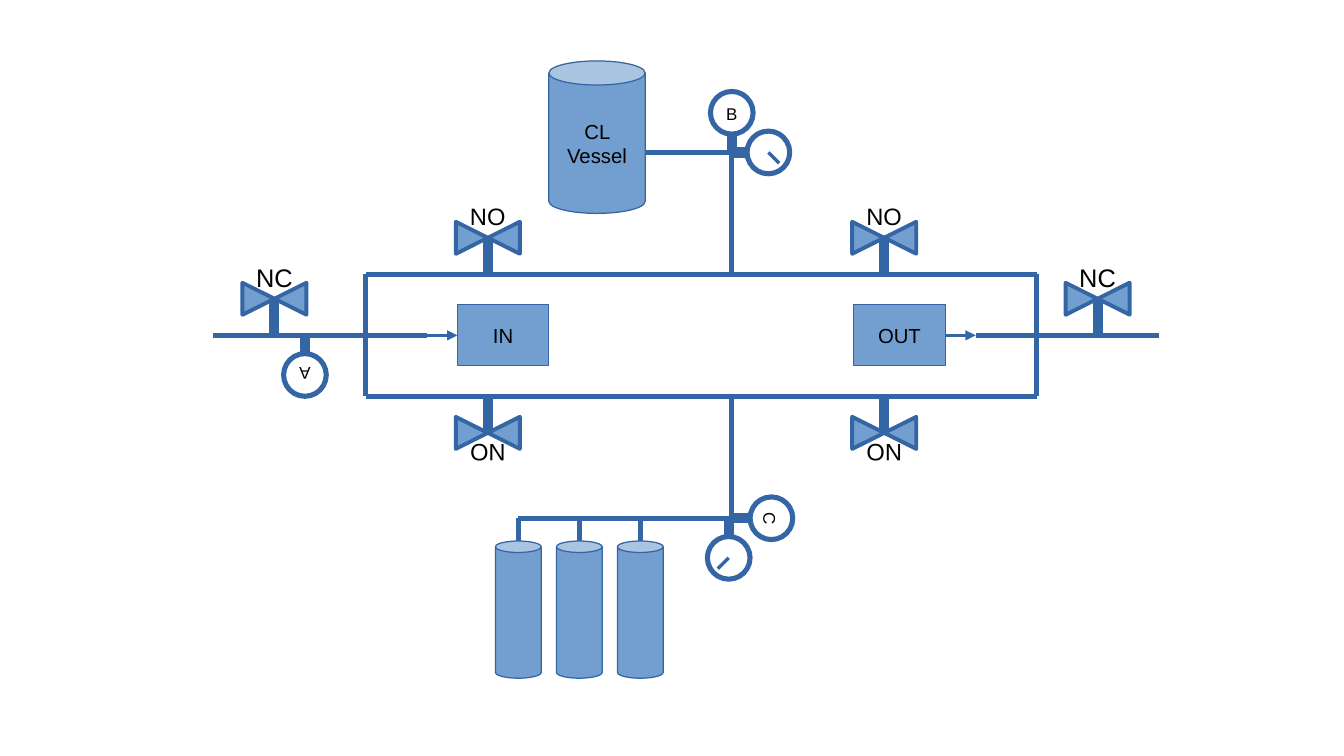
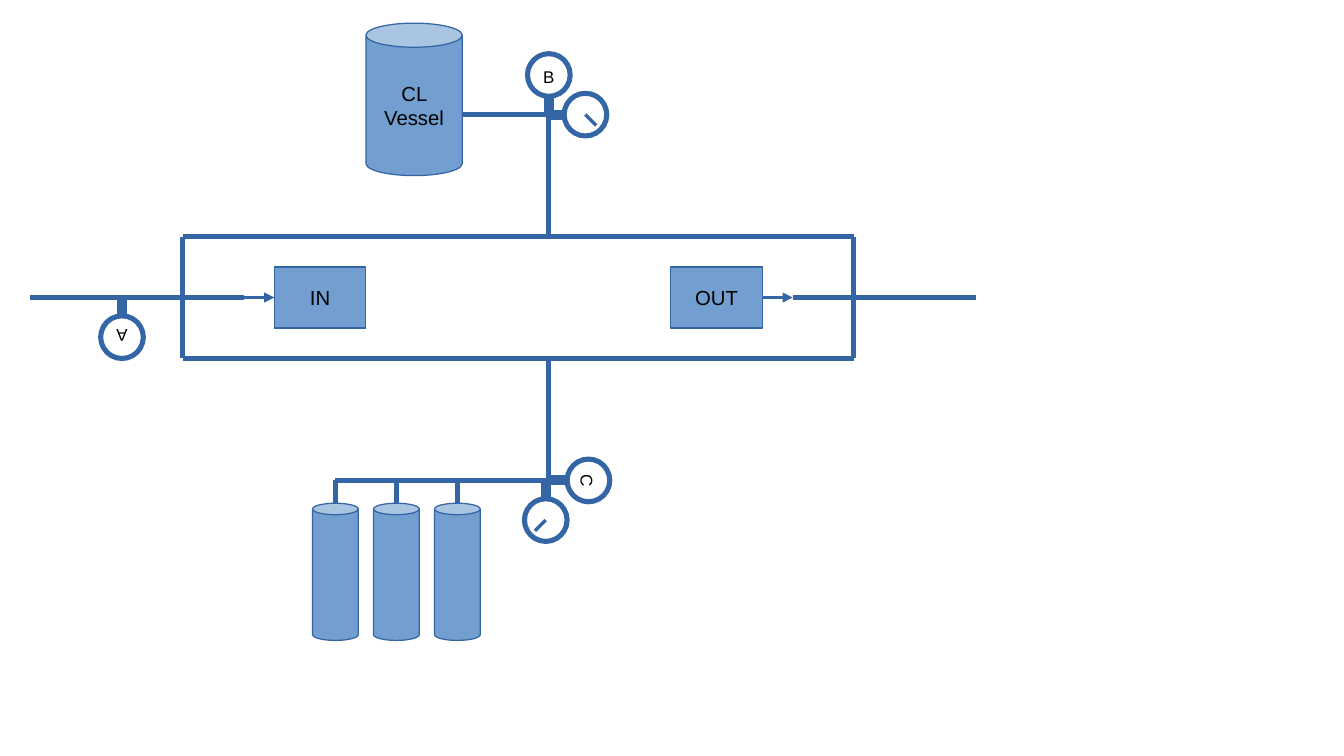
from math import cos, radians, sin

from lxml.etree import SubElement
from pptx import Presentation
from pptx.dml.color import RGBColor
from pptx.enum.shapes import MSO_CONNECTOR as Connector, MSO_SHAPE as Preset
from pptx.enum.text import MSO_ANCHOR as Anchor, PP_ALIGN as Align
from pptx.oxml.ns import qn
from pptx.util import Inches, Pt

CELL = 0.25
LINE, FILL, WHITE, BLACK = "3465A4", "729FCF", "FFFFFF", "000000"
FONT = "Arial"
HAIRLINE, VALVE_LINE, PIPE, STEM = 0, 2.3, 3, 6
UP, RIGHT, DOWN, LEFT = 0, 90, 180, 270

PIPES = [
    (7, 11, 12, 11), (12, 11, 14, 11), (12, 13, 12, 9),
    (38, 11, 34, 11), (34, 11, 32, 11), (34, 9, 34, 13),
    (12, 9, 34, 9), (12, 13, 34, 13),
    (24, 9, 24, 5), (21, 5, 24, 5),
    (24, 17, 24, 13), (17, 17, 24, 17),
]
TANK_COLUMNS = (17, 19, 21)
GAUGES = [
    (10, 11, DOWN, "A"), (24, 5, UP, "B"), (23.9, 5, RIGHT, None),
    (24, 17, RIGHT, "C"), (23.9, 17, DOWN, None),
]
VALVES = [
    (36, 11, UP, "NC", 15), (9, 11, UP, "NC", 15),
    (29, 9, UP, "NO", 14), (16, 9, UP, "NO", 14),
    (29, 13, DOWN, "NO", 14), (16, 13, DOWN, "NO", 14),
]


def color(value):
    return RGBColor.from_string(value)


def toward(column, row, heading, distance):
    angle = radians(heading)
    return column + distance * sin(angle), row - distance * cos(angle)


class Diagram:
    def __init__(self, presentation, column_shift=0, row_shift=0):
        self.slide = presentation.slides.add_slide(presentation.slide_layouts[6])
        self.shapes = self.slide.shapes
        self.column_shift = column_shift
        self.row_shift = row_shift

    def point(self, column, row):
        return (Inches((column + self.column_shift) * CELL),
                Inches((row + self.row_shift) * CELL))

    def frame(self, column, row, width, height):
        return (*self.point(column - width / 2, row - height / 2),
                Inches(width * CELL), Inches(height * CELL))

    def start_group(self):
        self.shapes = self.slide.shapes.add_group_shape().shapes

    def end_group(self):
        self.shapes = self.slide.shapes

    def line(self, start, end, width=PIPE, arrow=False):
        connector = self.shapes.add_connector(
            Connector.STRAIGHT, *self.point(*start), *self.point(*end))
        connector.line.color.rgb = color(LINE)
        connector.line.width = Pt(width)
        if arrow:
            outline = connector.line._get_or_add_ln()
            SubElement(outline, qn("a:tailEnd"), type="triangle")
        SubElement(connector._element.spPr, qn("a:effectLst"))
        return connector

    def solid(self, preset, column, row, width, height,
              fill=FILL, line_width=HAIRLINE, rotation=0):
        shape = self.shapes.add_shape(
            preset, *self.frame(column, row, width, height))
        shape.shadow.inherit = False
        shape.fill.solid()
        shape.fill.fore_color.rgb = color(fill)
        shape.line.color.rgb = color(LINE)
        shape.line.width = Pt(line_width)
        shape.rotation = rotation
        return shape

    def add_text(self, shape, text, size):
        text_frame = shape.text_frame
        text_frame.word_wrap = True
        text_frame.vertical_anchor = Anchor.MIDDLE
        paragraph = text_frame.paragraphs[0]
        paragraph.alignment = Align.CENTER
        run = paragraph.add_run()
        run.text = text
        run.font.name = FONT
        run.font.size = Pt(size)
        run.font.color.rgb = color(BLACK)

    def label(self, column, row, text, size, rotation):
        box = self.shapes.add_textbox(*self.frame(column, row, 2, 1))
        text_frame = box.text_frame
        text_frame.margin_left = text_frame.margin_right = 0
        text_frame.margin_top = text_frame.margin_bottom = 0
        box.rotation = rotation
        self.add_text(box, text, size)

    def station(self, column, row, text):
        box = self.solid(Preset.RECTANGLE, column, row, 3, 2)
        self.add_text(box, text, 12)
        return box

    def vessel(self, column, row, text):
        can = self.solid(Preset.CAN, column, row, 3.16, 5)
        self.add_text(can, text, 12)

    def tank(self, column):
        self.line((column, 18), (column, 17))
        self.solid(Preset.CAN, column, 20, 1.5, 4.5)

    def gauge(self, column, row, heading, letter):
        center = toward(column, row, heading, 1.3)
        self.start_group()
        self.line(toward(column, row, heading, 0.6), (column, row), STEM)
        self.solid(Preset.OVAL, *center, 1.4, 1.4, WHITE, PIPE)
        if letter:
            self.label(*toward(column, row, heading, 1.26), letter, 10, heading)
        else:
            self.line(center, toward(*center, heading + 45, 0.5), HAIRLINE)
        self.end_group()

    def valve(self, column, row, heading, text, size):
        center = toward(column, row, heading, 1.2)
        side = 1.05
        self.start_group()
        for offset, rotation in ((-side / 2, RIGHT), (side / 2, LEFT)):
            self.solid(Preset.ISOSCELES_TRIANGLE, center[0] + offset, center[1],
                       side, side, FILL, VALVE_LINE, rotation)
        self.line(center, (column, row), STEM)
        self.label(*toward(column, row, heading, 1.9), text, size, heading)
        self.end_group()

    def flow_loop(self):
        for left, top, right, bottom in PIPES:
            self.line((left, top), (right, bottom))
        inlet = self.station(16.5, 11, "IN")
        outlet = self.station(29.5, 11, "OUT")
        self.line((14, 11), (15, 11), HAIRLINE, True).end_connect(inlet, 1)
        self.line((31, 11), (32, 11), HAIRLINE, True).begin_connect(outlet, 3)
        self.vessel(19.58, 4.5, "CL Vessel")
        for column in TANK_COLUMNS:
            self.tank(column)
        for gauge in GAUGES:
            self.gauge(*gauge)


def main():
    presentation = Presentation()
    presentation.slide_width = Inches(11.02)
    presentation.slide_height = Inches(6.2)

    with_valves = Diagram(presentation)
    with_valves.flow_loop()
    for valve in VALVES:
        with_valves.valve(*valve)

    without_valves = Diagram(presentation, column_shift=-6, row_shift=-1.24)
    without_valves.flow_loop()

    presentation.save("out.pptx")


if __name__ == "__main__":
    main()
